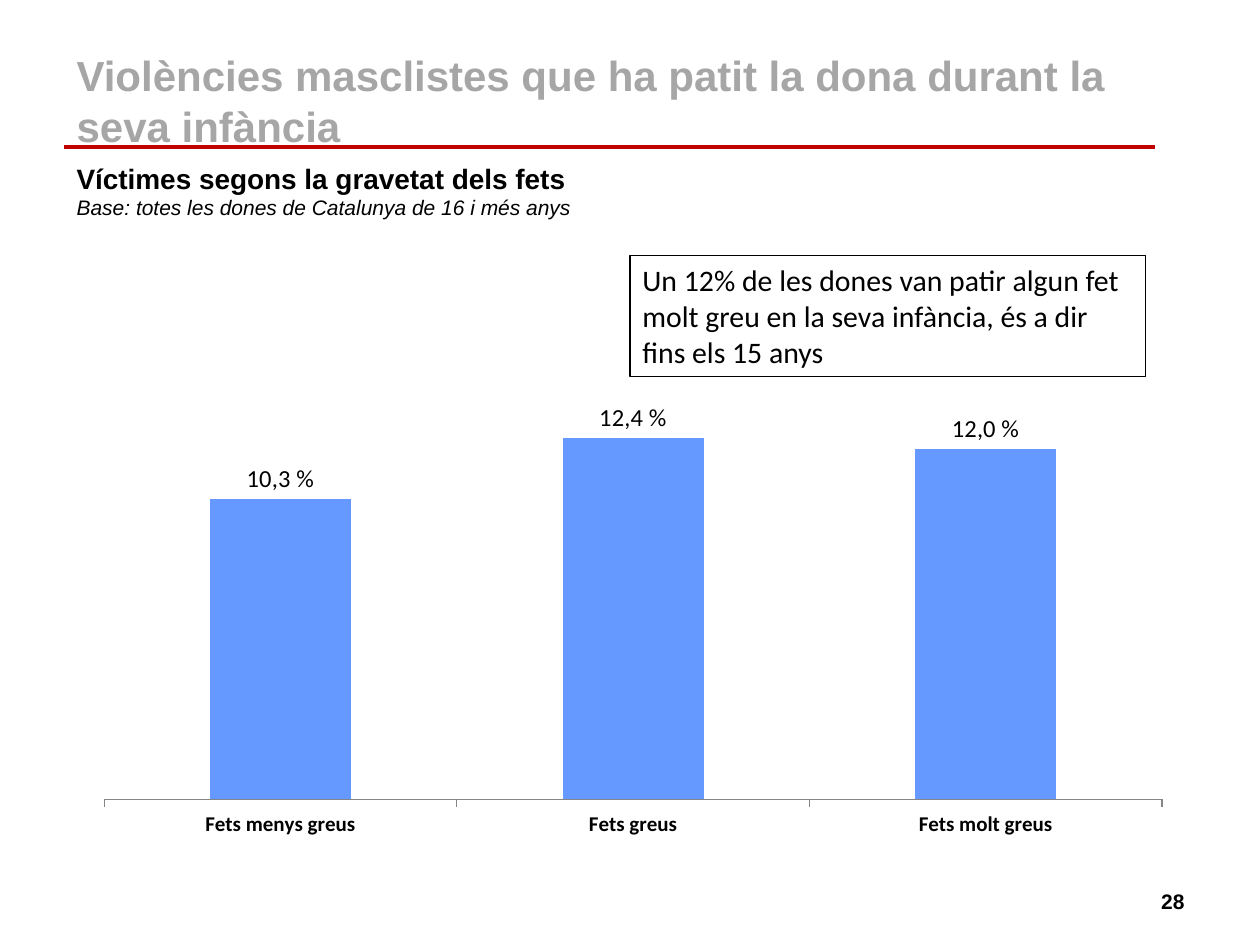
from dataclasses import dataclass

import pptx
import pptx.chart.data
import pptx.dml.color
import pptx.enum.chart
import pptx.enum.shapes
import pptx.enum.text
import pptx.oxml
import pptx.oxml.ns
import pptx.util

Inches = pptx.util.Inches
Pt = pptx.util.Pt
Align = pptx.enum.text.PP_ALIGN
Anchor = pptx.enum.text.MSO_ANCHOR

COLORS = {
    "black": "000000",
    "title": "A6A6A6",
    "rule": "C00000",
    "bar": "6699FF",
    "axis": "868686",
}


@dataclass
class Line:
    text: str
    size: float
    bold: bool = False
    italic: bool = False
    color: str = "black"
    font: str = "Arial"


@dataclass
class Box:
    left: float
    top: float
    width: float
    height: float
    lines: list[Line]
    anchor: Anchor = Anchor.TOP
    align: Align = Align.LEFT
    border: bool = False


BOXES = [
    Box(7.17, 6.95, 2.33, 0.4, [Line("28", 12, bold=True)], Anchor.MIDDLE, Align.RIGHT),
    Box(0.51, 1.23, 8.5, 0.55, [
        Line("Víctimes segons la gravetat dels fets", 16, bold=True),
        Line("Base: totes les dones de Catalunya de 16 i més anys", 12, italic=True),
    ]),
    Box(0.51, 0.52, 9.13, 0.55, [
        Line("Violències masclistes que ha patit la dona durant la seva infància",
             24, bold=True, color="title"),
    ], Anchor.MIDDLE),
    Box(5, 2.03, 4.09, 0.96, [
        Line("Un 12% de les dones van patir algun fet molt greu en la seva infància, "
             "és a dir fins els 15 anys", 17, font="Calibri"),
    ], border=True),
]

BARS = {"Fets menys greus": 10.3, "Fets greus": 12.4, "Fets molt greus": 12}
PLOT = {"x": 0.018, "y": 0.16, "w": 0.965, "h": 0.749}


def paint(name: str) -> pptx.dml.color.RGBColor:
    return pptx.dml.color.RGBColor.from_string(COLORS[name])


def style(font, size: float, bold: bool, name: str, color: str = "black") -> None:
    font.size = Pt(size)
    font.bold = bold
    font.name = name
    font.color.rgb = paint(color)


def add_box(slide, box: Box) -> None:
    area = [Inches(n) for n in (box.left, box.top, box.width, box.height)]
    if box.border:
        shape = slide.shapes.add_shape(
            pptx.enum.shapes.MSO_SHAPE.RECTANGLE, *area)
        shape.shadow.inherit = False
        shape.fill.background()
        shape.line.color.rgb = paint("black")
        shape.line.width = Pt(0.75)
        shape.text_frame.auto_size = pptx.enum.text.MSO_AUTO_SIZE.SHAPE_TO_FIT_TEXT
    else:
        shape = slide.shapes.add_textbox(*area)
    frame = shape.text_frame
    frame.word_wrap = True
    frame.vertical_anchor = box.anchor
    for rank, line in enumerate(box.lines):
        para = frame.add_paragraph() if rank else frame.paragraphs[0]
        para.alignment = box.align
        run = para.add_run()
        run.text = line.text
        style(run.font, line.size, line.bold, line.font, line.color)
        run.font.italic = line.italic


def add_rule(slide) -> None:
    rule = slide.shapes.add_connector(
        pptx.enum.shapes.MSO_CONNECTOR.STRAIGHT,
        Inches(0.51), Inches(1.17), Inches(9.17), Inches(1.17))
    rule.line.color.rgb = paint("rule")
    rule.line.width = Pt(2.25)
    rule._element.spPr.append(pptx.oxml.parse_xml(
        f'<a:effectLst {pptx.oxml.ns.nsdecls("a")}/>'))


def set_plot(chart) -> None:
    area = chart._chartSpace.chart.plotArea
    for old in area.findall(pptx.oxml.ns.qn("c:layout")):
        area.remove(old)
    modes = "".join(f'<c:{key}Mode val="edge"/>' for key in "xy")
    sizes = "".join(f'<c:{key} val="{val}"/>' for key, val in PLOT.items())
    area.insert(0, pptx.oxml.parse_xml(
        f'<c:layout {pptx.oxml.ns.nsdecls("c")}><c:manualLayout>'
        f'<c:layoutTarget val="inner"/>{modes}{sizes}'
        '</c:manualLayout></c:layout>'))


def add_bars(slide) -> None:
    data = pptx.chart.data.CategoryChartData(number_format="0.0")
    data.categories = list(BARS)
    data.add_series("Series 1", list(BARS.values()))
    chart = slide.shapes.add_chart(
        pptx.enum.chart.XL_CHART_TYPE.COLUMN_CLUSTERED,
        Inches(0.67), Inches(2.41), Inches(8.7), Inches(4.33), data).chart
    chart.has_title = False
    chart.has_legend = False
    style(chart.font, 10, False, "Calibri")
    set_plot(chart)

    scale = chart.value_axis
    scale.visible = False
    scale.has_major_gridlines = False
    scale.minimum_scale = 0
    scale.maximum_scale = 14
    scale.tick_labels.number_format = "0.0"
    scale.tick_labels.number_format_is_linked = False
    axis = chart.category_axis
    axis.major_tick_mark = pptx.enum.chart.XL_TICK_MARK.OUTSIDE
    axis.format.line.color.rgb = paint("axis")
    axis.format.line.width = Pt(0.75)
    style(axis.tick_labels.font, 12, True, "Calibri")

    plot = chart.plots[0]
    plot.gap_width = 150
    plot.vary_by_categories = False
    bars = plot.series[0]
    bars.format.fill.solid()
    bars.format.fill.fore_color.rgb = paint("bar")
    labels = bars.data_labels
    labels.show_value = True
    labels.number_format = "0.0"
    labels.number_format_is_linked = False
    style(labels.font, 14, True, "Calibri")
    for rank, value in enumerate(BARS.values()):
        label = bars.points[rank].data_label
        run = label.text_frame.paragraphs[0].add_run()
        run.text = f"{value:.1f} %".replace(".", ",")
        style(run.font, 14, False, "Calibri")
        label.position = pptx.enum.chart.XL_LABEL_POSITION.OUTSIDE_END


def main() -> None:
    deck = pptx.Presentation()
    deck.slide_width = Inches(10)
    deck.slide_height = Inches(7.5)
    slide = deck.slides.add_slide(deck.slide_layouts[6])
    add_rule(slide)
    add_bars(slide)
    for box in BOXES:
        add_box(slide, box)
    deck.save("out.pptx")


if __name__ == "__main__":
    main()
